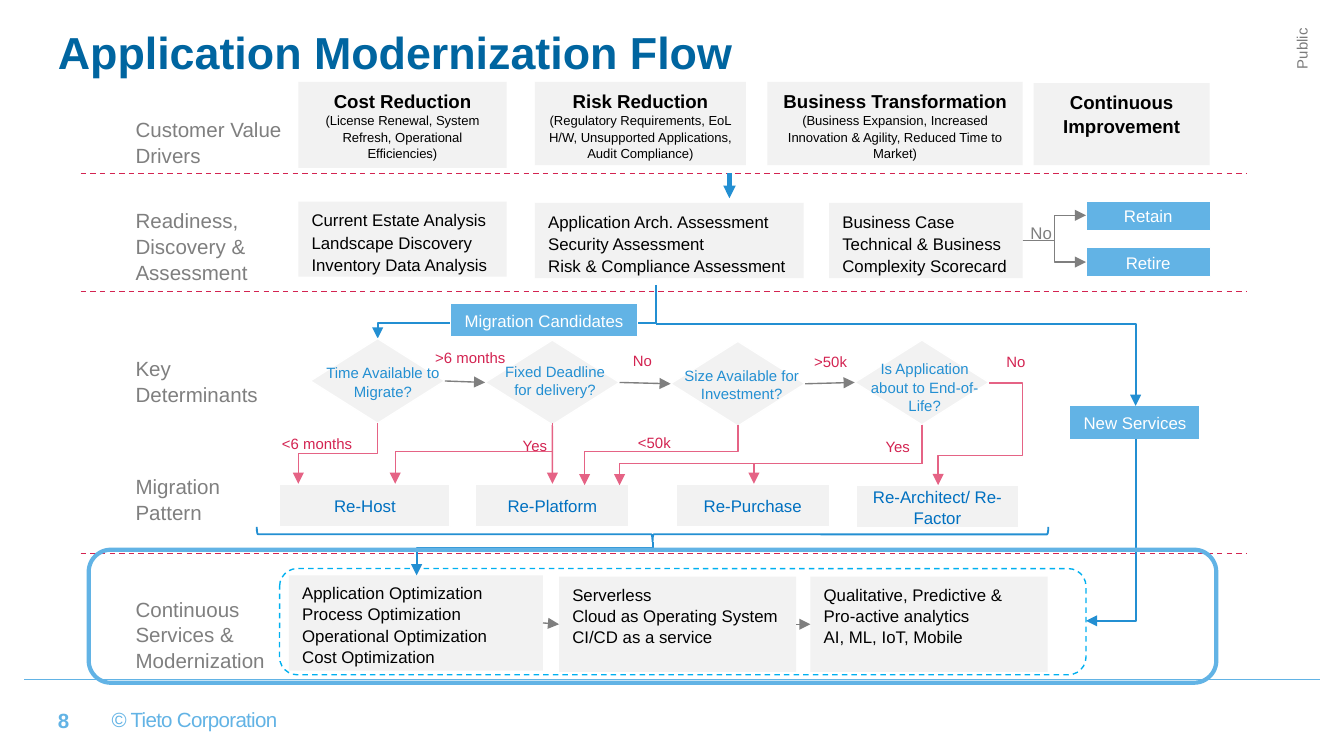
from lxml.etree import SubElement
from pptx import Presentation
from pptx.dml.color import RGBColor
from pptx.enum.dml import MSO_LINE
from pptx.enum.shapes import MSO_CONNECTOR as CONN, MSO_SHAPE as SHAPE
from pptx.enum.text import MSO_ANCHOR as ANCHOR, PP_ALIGN as ALIGN
from pptx.oxml.ns import qn
from pptx.util import Pt

SKY, BLUE, DARK, LINK = "62B3E5", "238FD2", "0065A0", "0070C0"
RED, PINK, CYAN = "D32351", "E56385", "00B0F0"
GRAY, MUTED, PALE, WHITE, BLACK = "7F7F7F", "7B7B7B", "F2F2F2", "FFFFFF", "000000"

ROW_LABELS = [
    ("Customer Value Drivers", 58.3, 33.8),
    ("Readiness, Discovery & Assessment", 107.3, 47.5),
    ("Key Determinants", 186.5, 33.8),
    ("Migration Pattern", 249.8, 33.8),
    ("Continuous Services & Modernization", 315.4, 47.5),
]
ROW_BREAKS = [92.9, 156.2, 296.6]
DRIVERS = [
    (["Cost Reduction", "(License Renewal, System Refresh, Operational Efficiencies)"],
     159.8, 43.9, 111.6, 46.1),
    (["Risk Reduction",
      "(Regulatory Requirements, EoL H/W, Unsupported Applications, Audit Compliance)"],
     286.6, 43.9, 113, 44.6),
    (["Business Transformation",
      "(Business Expansion, Increased Innovation & Agility, Reduced Time to Market)"],
     411.1, 43.9, 136.8, 44.6),
    (["Continuous Improvement"], 553.7, 44.6, 94.3, 43.9),
]
ASSESSMENTS = [
    (["Current Estate Analysis", "Landscape Discovery", "Inventory Data Analysis"],
     159.8, 108, 111.6, 40.3),
    (["Application Arch. Assessment", "Security Assessment", "Risk & Compliance Assessment"],
     286.6, 108.7, 144, 40.3),
    (["Business Case", "Technical & Business Complexity Scorecard"],
     444.2, 108.7, 103.7, 40.3),
]
ACTIONS = [
    ("Retain", 581.8, 107.6, 66.6, 15.8),
    ("Retire", 581.8, 132.5, 66.6, 15.8),
    ("Migration Candidates", 241.4, 162.4, 100.1, 18),
    ("New Services", 573.1, 217.4, 69.8, 18),
]
DETERMINANTS = [
    ("Time Available to Migrate?", 166.3, 181.4, 165.6, 190.8, 26.6),
    ("Fixed Deadline for delivery?", 259.9, 182.2, 257.8, 190.1, 26.6),
    ("Size Available for Investment?", 359.3, 182.9, 357.8, 192.2, 26.6),
    ("Is Application about to End-of-Life?", 457.9, 182.2, 455.8, 188.6, 36),
]
PATTERNS = [
    ("Re-Host", 149.8, 259.2, 91.4, 23),
    ("Re-Platform", 254.9, 259.2, 82.1, 23),
    ("Re-Purchase", 362.2, 259.2, 82.1, 23),
    ("Re-Architect/ Re-Factor", 458.6, 259.9, 87.1, 23),
]
SERVICES = [
    (["Application Optimization", "Process Optimization", "Operational Optimization",
      "Cost Optimization"], 154.8, 308.2, 136.1, 51.1),
    (["Serverless", "Cloud as Operating System", "CI/CD as a service"],
     299.5, 308.9, 127.1, 51.1),
    (["Qualitative, Predictive & Pro-active analytics", "AI, ML, IoT, Mobile"],
     434.2, 308.9, 127.1, 51.1),
]
ANSWERS = [
    (">6 months", 212.4, 182.9, 79.2), ("No", 304.6, 184.3, 79.2),
    (">50k", 405.4, 185, 79.2), ("No", 504.7, 185, 79.2),
    ("Yes", 464.4, 230.4, 33.1), ("<6 months", 140.4, 229, 59),
    ("Yes", 269.3, 229.7, 34.6), ("<50k", 311, 228.2, 79.2),
]
PATTERN_ROUTES = [
    (202.3, 226.8, 159.8, 259.2, 0.5),
    (493.9, 227.5, 403.9, 259.2, 0.66),
    (395.3, 227.5, 313.2, 259.9, 0.44),
    (295.9, 226.8, 211.7, 259.2, 0.47),
    (493.9, 227.5, 331.9, 259.9, 0.64),
]

prs = Presentation()
prs.slide_width, prs.slide_height = Pt(720), Pt(405)
s = prs.slides.add_slide(prs.slide_layouts[6])


def rgb(value):
    return RGBColor.from_string(value)


def write(sp, paras, size=9, color=BLACK, bold=False, sub=None, align=ALIGN.LEFT,
          anchor=ANCHOR.TOP, inset=True, wrap=True, spacing=1.05, track=None):
    tf = sp.text_frame
    tf.word_wrap, tf.vertical_anchor = wrap, anchor
    if not inset:
        tf.margin_left = tf.margin_right = tf.margin_top = tf.margin_bottom = 0
    for i, text in enumerate([paras] if isinstance(paras, str) else paras):
        p = tf.paragraphs[0] if i == 0 else tf.add_paragraph()
        p.alignment, p.line_spacing = align, spacing
        r = p.add_run()
        r.text = text
        small = sub and i
        r.font.name, r.font.size = "Arial", Pt(sub if small else size)
        r.font.bold, r.font.color.rgb = bool(bold and not small), rgb(color)
        if track:
            r._r.get_or_add_rPr().set("spc", str(track))


def label(text, x, y, w, h, **fmt):
    sp = s.shapes.add_textbox(Pt(x), Pt(y), Pt(w), Pt(h))
    write(sp, text, **fmt)
    return sp


def shape(kind, x, y, w, h, fill=None, line=None, width=0.75, dash=None):
    sp = s.shapes.add_shape(kind, Pt(x), Pt(y), Pt(w), Pt(h))
    sp.shadow.inherit = False
    if fill:
        sp.fill.solid()
        sp.fill.fore_color.rgb = rgb(fill)
    else:
        sp.fill.background()
    if line:
        sp.line.color.rgb, sp.line.width = rgb(line), Pt(width)
        if dash:
            sp.line.dash_style = dash
    else:
        sp.line.fill.background()
    return sp


def box(text, x, y, w, h, fill=PALE, line=None, **fmt):
    sp = shape(SHAPE.RECTANGLE, x, y, w, h, fill, line)
    write(sp, text, **fmt)
    return sp


def connect(x1, y1, x2, y2, color, width=0.75, kind=CONN.STRAIGHT, arrow=True, dash=None):
    c = s.shapes.add_connector(kind, Pt(x1), Pt(y1), Pt(x2), Pt(y2))
    c.line.color.rgb, c.line.width = rgb(color), Pt(width)
    if dash:
        c.line.dash_style = dash
    if arrow:
        SubElement(c.line._get_or_add_ln(), qn("a:tailEnd")).set("type", "triangle")
    SubElement(c._element.spPr, qn("a:effectLst"))
    return c


def elbow(x1, y1, x2, y2, color, width=0.75, bends=3, adj=(), down=False):
    if down:
        cx, cy, w, h = (x1 + x2) / 2, (y1 + y2) / 2, y2 - y1, x1 - x2
        x1, y1, x2, y2 = cx - w / 2, cy - h / 2, cx + w / 2, cy + h / 2
    c = connect(x1, y1, x2, y2, color, width, CONN.ELBOW)
    spPr = c._element.spPr
    if down:
        spPr.find(qn("a:xfrm")).set("rot", "5400000")
    geom = spPr.find(qn("a:prstGeom"))
    geom.set("prst", f"bentConnector{bends}")
    for i, value in enumerate(adj, 1):
        gd = SubElement(geom.find(qn("a:avLst")), qn("a:gd"))
        gd.set("name", f"adj{i}")
        gd.set("fmla", f"val {round(value * 100000)}")


def join(a, b, start=3, end=1):
    c = connect(0, 0, 10, 10, PINK if start == 2 else GRAY)
    c.begin_connect(a, start)
    c.end_connect(b, end)


connect(13, 364.3, 707, 364.3, SKY, 0.5, arrow=False)
label("© Tieto Corporation", 59.8, 378.7, 110.2, 13, size=11, color=SKY, inset=False,
      wrap=False, spacing=1, track=-40)
label("Public", 627.8, 79.9, 141.8, 12.2, size=8, color=MUTED, align=ALIGN.RIGHT,
      inset=False, spacing=1).rotation = 270
box("8", 31, 380.2, 28.1, 12.2, WHITE, size=11, color=SKY, bold=True,
    anchor=ANCHOR.BOTTOM, inset=False, spacing=1)
label("Application Modernization Flow", 31, 11.5, 648, 32.4, size=24, color=DARK, bold=True,
      anchor=ANCHOR.MIDDLE, inset=False, spacing=1)

elbow(351.4, 152.6, 202.3, 181.4, BLUE, 1, adj=[0.71], down=True)
diamonds = [shape(SHAPE.FLOWCHART_DECISION, x, y, 72, 45.4, PALE, WHITE)
            for _, x, y, *_ in DETERMINANTS]
for y in ROW_BREAKS:
    connect(43.2, y, 668.2, y, RED, arrow=False, dash=MSO_LINE.DASH)
for text, y, h in ROW_LABELS:
    label(text, 65.5, y, 94.3, h, size=11, color=GRAY)
for driver in DRIVERS:
    box(*driver, size=10, sub=7, bold=True, align=ALIGN.CENTER)
for assessment in ASSESSMENTS:
    box(*assessment, spacing=1.1)
centred = dict(align=ALIGN.CENTER, anchor=ANCHOR.MIDDLE)
for action in ACTIONS:
    box(*action, fill=SKY, line=WHITE, color=WHITE, **centred)
patterns = [box(*pattern, line=WHITE, color=LINK, **centred) for pattern in PATTERNS]
services = [box(*service) for service in SERVICES]

for y in (115.4, 140.4):
    elbow(547.9, 128.9, 581.8, y, GRAY)
label("No", 545, 115.2, 25.9, 18, color=GRAY, wrap=False)
for text, _, _, x, y, h in DETERMINANTS:
    label(text, x, y, 79.2, h, size=8, color=BLUE, align=ALIGN.CENTER)
for chain in (diamonds, services):
    for a, b in zip(chain, chain[1:]):
        join(a, b)
join(diamonds[1], patterns[1], 2, 0)

elbow(351.4, 173.5, 608.4, 217.4, BLUE, 1, bends=2)
for *ends, bend in PATTERN_ROUTES:
    elbow(*ends, PINK, adj=[bend], down=True)
elbow(529.9, 205.2, 502.6, 259.9, PINK, bends=4, adj=[-0.66, 0.71])
for text, x, y, w in ANSWERS:
    label(text, x, y, w, 17.3, size=8, color=RED, align=ALIGN.CENTER)
connect(390.8, 92.9, 390.8, 106.2, BLUE, 2.25)
elbow(608.4, 235.4, 581.8, 332.6, BLUE, 1, bends=2, down=True)
shape(SHAPE.ROUNDED_RECTANGLE, 149.8, 304.6, 432, 56.9, line=CYAN, dash=MSO_LINE.DASH)
elbow(349.9, 290.2, 223.2, 308.2, BLUE, 1, adj=[0.18], down=True)
shape(SHAPE.RIGHT_BRACE, 345.6, 74.2, 7.9, 424.1, line=BLUE, width=1).rotation = 90
shape(SHAPE.ROUNDED_RECTANGLE, 47.5, 294.5, 604.1, 71.3, line=SKY, width=2.25)

prs.save("out.pptx")
